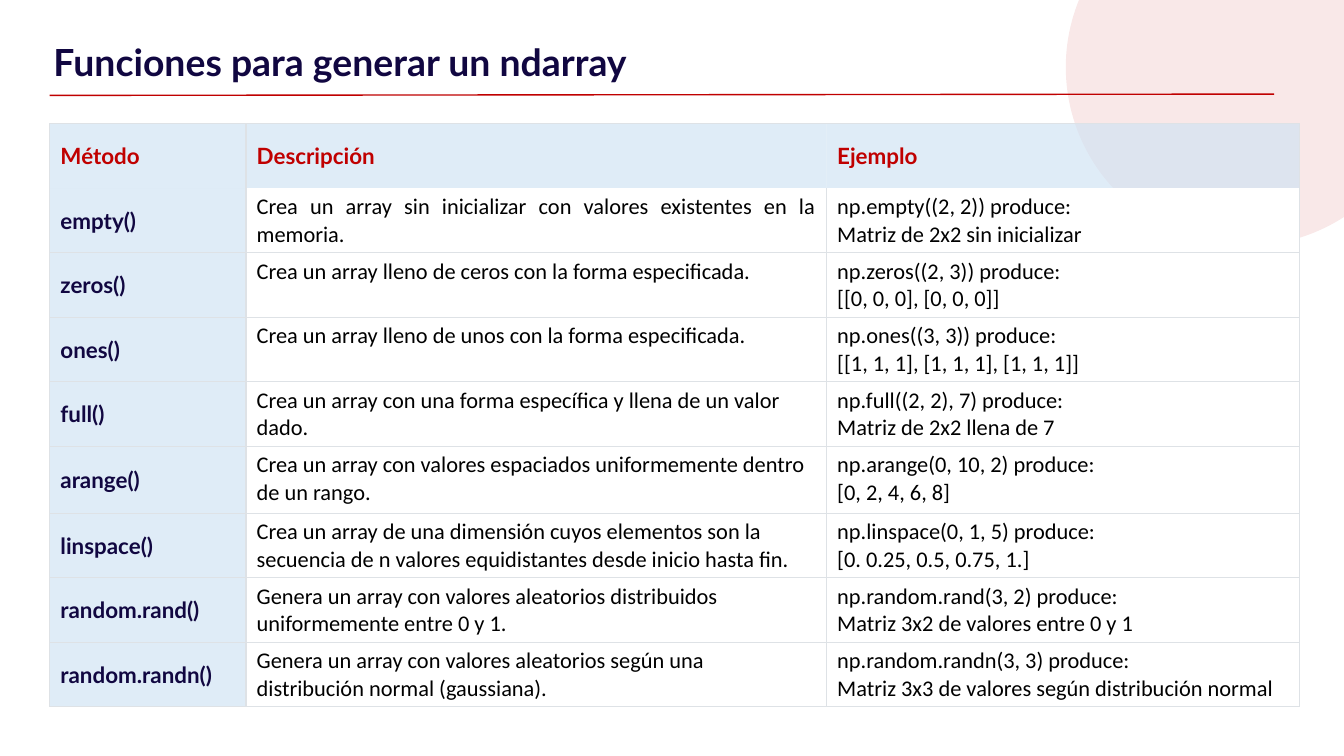
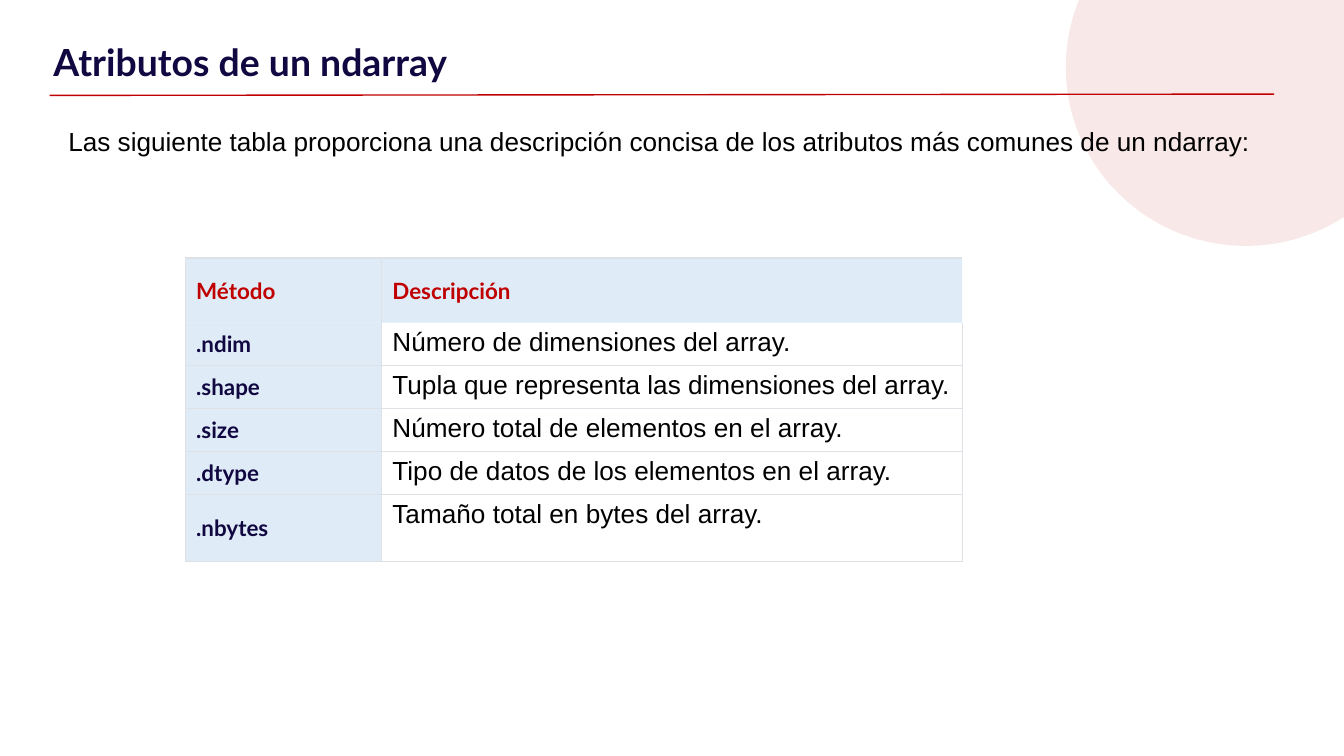
from dataclasses import dataclass

from lxml import etree
from pptx import Presentation
from pptx.dml.color import RGBColor
from pptx.enum.shapes import MSO_CONNECTOR, MSO_SHAPE
from pptx.enum.text import MSO_ANCHOR, PP_ALIGN
from pptx.oxml.ns import qn
from pptx.util import Inches, Pt

ELLIPSE = MSO_SHAPE.OVAL
STRAIGHT = MSO_CONNECTOR.STRAIGHT
TOP, MIDDLE = MSO_ANCHOR.TOP, MSO_ANCHOR.MIDDLE
LEFT, JUSTIFY = PP_ALIGN.LEFT, PP_ALIGN.JUSTIFY


@dataclass(frozen=True)
class Theme:
    red: str = "C00000"
    navy: str = "110741"
    black: str = "000000"
    white: str = "FFFFFF"
    pale_blue: str = "CFE2F3"
    border: str = "DEE2E6"
    head_font: str = "Lato"
    text_font: str = "Arial"
    table_font: str = "Calibri"
    title_size: int = 20
    text_size: int = 14
    table_size: int = 12
    line_width: float = 0.75
    circle_alpha: int = 9
    label_alpha: int = 65


T = Theme()


def add_run(p, text, font, size, color, bold=False):
    r = p.add_run()
    r.text = text
    r.font.name = font
    r.font.size = Pt(size)
    r.font.bold = bold
    r.font.color.rgb = RGBColor.from_string(color)


def fill_solid(fill, parent, color, alpha=100):
    fill.solid()
    fill.fore_color.rgb = RGBColor.from_string(color)
    if alpha < 100:
        clr = parent.find(qn("a:solidFill")).find(qn("a:srgbClr"))
        etree.SubElement(clr, qn("a:alpha"), val=str(alpha * 1000))


# Slide content
functions = [
    ("Método", "Descripción", "Ejemplo"),
    ("empty()", "Crea un array sin inicializar con valores existentes en la memoria.",
     "np.empty((2, 2)) produce:\nMatriz de 2x2 sin inicializar"),
    ("zeros()", "Crea un array lleno de ceros con la forma especificada.",
     "np.zeros((2, 3)) produce:\n[[0, 0, 0], [0, 0, 0]]"),
    ("ones()", "Crea un array lleno de unos con la forma especificada.",
     "np.ones((3, 3)) produce:\n[[1, 1, 1], [1, 1, 1], [1, 1, 1]]"),
    ("full()", "Crea un array con una forma específica y llena de un valor dado.",
     "np.full((2, 2), 7) produce:\nMatriz de 2x2 llena de 7"),
    ("arange()", "Crea un array con valores espaciados uniformemente dentro de un rango.",
     "np.arange(0, 10, 2) produce:\n[0, 2, 4, 6, 8]"),
    ("linspace()", "Crea un array de una dimensión cuyos elementos son la secuencia "
     "de n valores equidistantes desde inicio hasta fin.",
     "np.linspace(0, 1, 5) produce:\n[0. 0.25, 0.5, 0.75, 1.]"),
    ("random.rand()", "Genera un array con valores aleatorios distribuidos "
     "uniformemente entre 0 y 1.",
     "np.random.rand(3, 2) produce:\nMatriz 3x2 de valores entre 0 y 1"),
    ("random.randn()", "Genera un array con valores aleatorios según una "
     "distribución normal (gaussiana).",
     "np.random.randn(3, 3) produce:\nMatriz 3x3 de valores según distribución normal"),
]
attributes = [
    ("Método", "Descripción"),
    (".ndim", "Número de dimensiones del array."),
    (".shape", "Tupla que representa las dimensiones del array."),
    (".size", "Número total de elementos en el array."),
    (".dtype", "Tipo de datos de los elementos en el array."),
    (".nbytes", "Tamaño total en bytes del array."),
]
COL_WIDTHS = (1.46, 4.32, 3.52)
HEAD_H, ROW_H = 0.48, 0.32

# title, intro, rows, table position, taller rows, body font and size, justified cells
slides = [
    ("Funciones para generar un ndarray", None, functions, (0.37, 0.92),
     {5: 0.5, 8: 0.47}, T.table_font, T.table_size, {(1, 1)}),
    ("Atributos de un ndarray",
     "Las siguiente tabla proporciona una descripción concisa de los atributos "
     "más comunes de un ndarray:", attributes, (1.38, 1.92),
     {5: 0.5}, T.text_font, T.text_size, set()),
]

prs = Presentation()
prs.slide_width = Inches(10)
prs.slide_height = prs.slide_width * 9 // 16

for title, intro, rows, (x, y), tall_rows, font, size, justified in slides:
    s = prs.slides.add_slide(prs.slide_layouts[6])

    # Corner circle
    circle = s.shapes.add_shape(ELLIPSE, Inches(7.93), Inches(-0.83),
                                Inches(2.68), Inches(2.66))
    circle.shadow.inherit = False
    circle.line.fill.background()
    fill_solid(circle.fill, circle.element.spPr, T.red, T.circle_alpha)

    # Rule under the title
    rule = s.shapes.add_connector(STRAIGHT, Inches(0.37), Inches(0.71),
                                  Inches(9.48), Inches(0.7))
    rule.line.color.rgb = RGBColor.from_string(T.red)
    rule.line.width = Pt(T.line_width)
    etree.SubElement(rule.element.spPr, qn("a:effectLst"))

    # Title and optional introduction: text, place, top and bottom inset, style
    boxes = [(title, (0.3, 0, 8.6, 0.57), (0.29, -0.06),
              (T.head_font, T.title_size, T.navy, True))]
    if intro:
        boxes.append((intro, (0.41, 0.83, 9.07, 0.44), (0.1, 0.1),
                      (T.text_font, T.text_size, T.black)))
    for text, at, (inset_top, inset_bottom), style in boxes:
        sp = s.shapes.add_textbox(*(Inches(v) for v in at))
        tf = sp.text_frame
        tf.word_wrap = True
        tf.vertical_anchor = TOP
        tf.margin_left = tf.margin_right = Inches(0.1)
        tf.margin_top, tf.margin_bottom = Inches(inset_top), Inches(inset_bottom)
        add_run(tf.paragraphs[0], text, *style)

    # Table
    widths = COL_WIDTHS[:len(rows[0])]
    heights = [HEAD_H] + [tall_rows.get(i, ROW_H) for i in range(1, len(rows))]
    table = s.shapes.add_table(len(rows), len(widths), Inches(x), Inches(y),
                               Inches(sum(widths)), Inches(sum(heights))).table
    table.first_row = table.horz_banding = False
    for column, width in zip(table.columns, widths):
        column.width = Inches(width)
    for row, height in zip(table.rows, heights):
        row.height = Inches(height)

    for i, row in enumerate(rows):
        for j, text in enumerate(row):
            cell = table.cell(i, j)
            is_label = i == 0 or j == 0
            cell.margin_left = cell.margin_right = Inches(0.08)
            cell.margin_top = cell.margin_bottom = Inches(0.04)
            cell.vertical_anchor = MIDDLE if is_label else TOP

            # Borders: the header is open below and after its second column
            if i == 0:
                edges = ("LRT", "LT", "RT")[j]
            else:
                edges = "LRB" if i == 1 else "LRTB"
            tcPr = cell._tc.get_or_add_tcPr()
            for side in "LRTB":
                ln = etree.SubElement(tcPr, qn(f"a:ln{side}"), w=str(Pt(T.line_width)))
                if side in edges:
                    line_fill = etree.SubElement(ln, qn("a:solidFill"))
                    etree.SubElement(line_fill, qn("a:srgbClr"), val=T.border)
                else:
                    etree.SubElement(ln, qn("a:noFill"))

            # Fill and text
            if is_label:
                fill_solid(cell.fill, tcPr, T.pale_blue, T.label_alpha)
                style = (T.head_font, T.table_size, T.navy if i else T.red, True)
            else:
                fill_solid(cell.fill, tcPr, T.white)
                style = (font, size, T.black)
            tf = cell.text_frame
            for n, line in enumerate(text.split("\n")):
                p = tf.add_paragraph() if n else tf.paragraphs[0]
                p.alignment = JUSTIFY if (i, j) in justified else LEFT
                add_run(p, line, *style)

prs.save("out.pptx")
